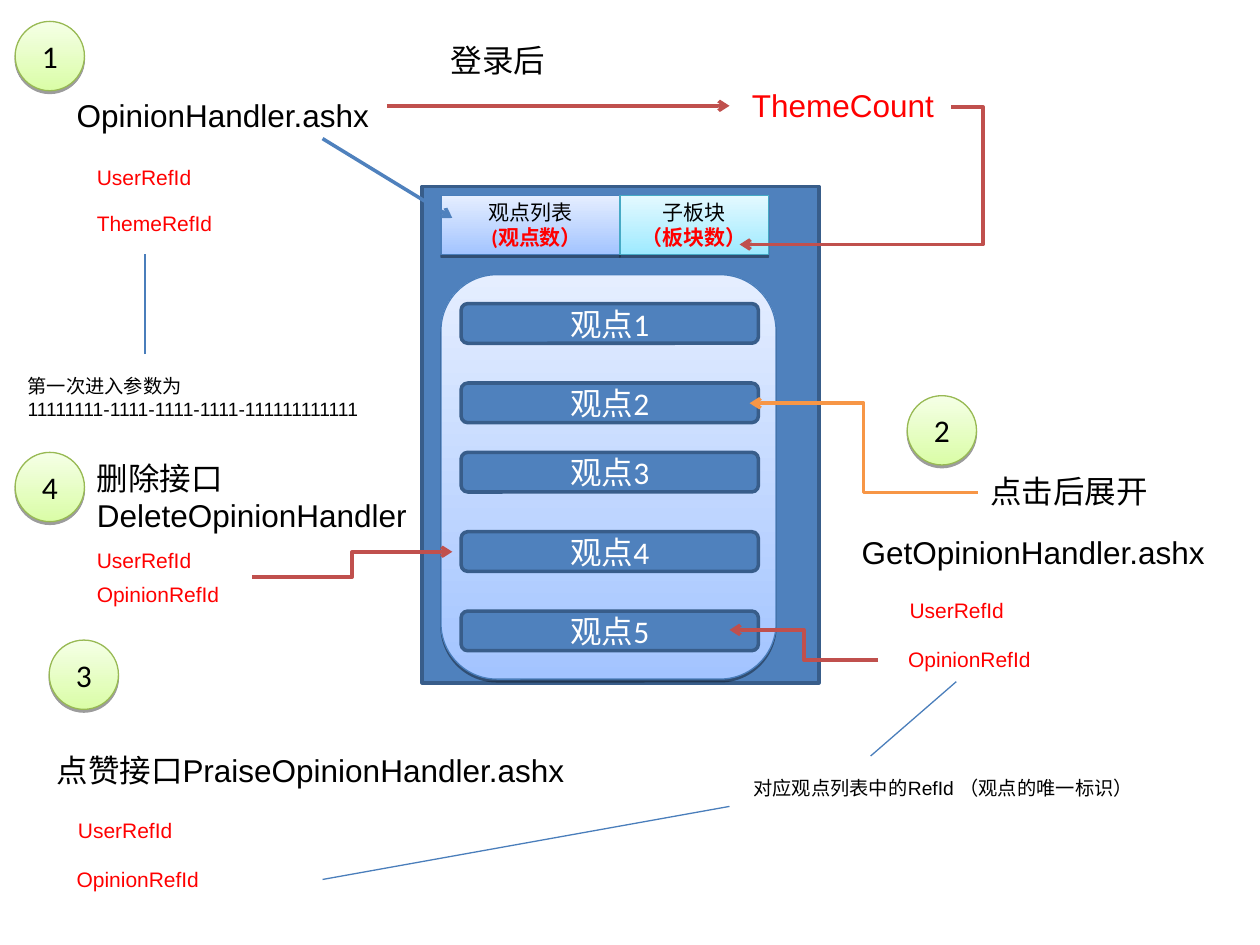
"""Build the slide showing how the opinion handlers feed the opinion list."""
from pptx import Presentation, util as u
from pptx.dml.color import RGBColor
from pptx.enum import shapes, text
from pptx.oxml import parse_xml
from pptx.oxml.ns import nsdecls, qn

rgb = RGBColor.from_string
prs = Presentation()
prs.slide_width, prs.slide_height = u.Inches(10), u.Inches(7.5)
COL, ROW = prs.slide_width / 100, prs.slide_height / 75
s = prs.slides.add_slide(prs.slide_layouts[6])

RECT = shapes.MSO_SHAPE.RECTANGLE
ROUND = shapes.MSO_SHAPE.ROUNDED_RECTANGLE
OVAL = shapes.MSO_SHAPE.OVAL
BLUE, NAVY, THIN, RED, BLACK = "4F81BD", "385D8A", "4A7EBB", "FF0000", "000000"
BRICK, ORANGE = "C0504D", "F79646"
PALE, AQUA, LIME = ("A3C4FF", "E5EEFF"), ("9EEAFF", "E4F9FF"), ("DAFDA7", "F5FFE6")
SHADOW = (f'<a:outerShdw {nsdecls("a")} blurRad="0" dist="20320" dir="5400000" rotWithShape="0">'
          '<a:srgbClr val="000000"><a:alpha val="38000"/></a:srgbClr></a:outerShdw>')


def add_box(kind, x, y, w, h, fill, line):
    sp = s.shapes.add_shape(kind, int(x * COL), int(y * ROW), int(w * COL), int(h * ROW))
    sp.shadow.inherit = False
    sp.line.color.rgb = rgb(line)
    if isinstance(fill, tuple):
        sp.fill.gradient()
        sp.fill.gradient_angle = 90
        for stop, color in zip(sp.fill.gradient_stops, fill):
            stop.color.rgb = rgb(color)
        sp.line.width = u.Pt(0.75)
        sp._element.spPr.find(qn("a:effectLst")).append(parse_xml(SHADOW))
    else:
        sp.fill.solid()
        sp.fill.fore_color.rgb = rgb(fill)
        sp.line.width = u.Pt(2)
    sp.text_frame.vertical_anchor = text.MSO_ANCHOR.MIDDLE
    return sp


def write(sp, words, size, color, font="Arial", align=text.PP_ALIGN.LEFT):
    tf = sp.text_frame
    tf.text = words
    for p in tf.paragraphs:
        p.alignment = align
        for r in p.runs:
            r.font.size, r.font.name = u.Pt(size), font
            r.font.color.rgb = rgb(color)
    return tf


add_box(RECT, 33.5, 14.8, 31.5, 39.4, BLUE, NAVY)
add_box(ROUND, 35, 21.8, 26.6, 32.1, PALE, THIN)

for x, w, fill, line, words, indent in [
    (35, 14.2, PALE, THIN, "观点列表\n(观点数）", 1),
    (49.2, 11.8, AQUA, "46AAC5", "子板块\n（板块数）", 0),
]:
    sp = add_box(RECT, x, 15.5, w, 4.7, fill, line)
    tf = write(sp, words, 12, BLACK, "Calibri", text.PP_ALIGN.CENTER)
    p = tf.paragraphs[1]
    p._p.get_or_add_pPr().set("marL", str(int(indent * COL)))
    p.runs[0].font.bold = True
    p.runs[0].font.color.rgb = rgb(RED)

for n, y in enumerate([24.1, 30.4, 35.9, 42.2, 48.5], 1):
    sp = add_box(ROUND, 36.6, y, 23.6, 3.15, BLUE, NAVY)
    write(sp, f"观点{n}", 18, "FFFFFF", "Calibri", text.PP_ALIGN.CENTER)

for n, (x, y) in enumerate([(1.2, 1.7), (72, 31.4), (3.9, 50.8), (1.2, 35.9)], 1):
    sp = add_box(OVAL, x, y, 5.5, 5.5, LIME, "98B954")
    write(sp, str(n), 18, BLACK, "Calibri", text.PP_ALIGN.CENTER)

for x, y, w, h, size, color, words in [
    (34.8, 2.8, 9.6, 4, 18, BLACK, "登录后"),
    (58.7, 6.3, 17, 4, 18, RED, "ThemeCount"),
    (5.1, 7.1, 25.5, 4, 18, BLACK, "OpinionHandler.ashx"),
    (6.7, 12.6, 9.8, 3, 12, RED, "UserRefId"),
    (6.7, 16.2, 11.6, 3, 12, RED, "ThemeRefId"),
    (1.2, 29.2, 36.2, 4.7, 11, BLACK, "第一次进入参数为\n11111111-1111-1111-1111-111111111111"),
    (77.6, 37, 14.7, 4, 18, BLACK, "点击后展开"),
    (67.4, 41.8, 29.6, 4, 18, BLACK, "GetOpinionHandler.ashx"),
    (71.2, 46.9, 9.8, 3, 12, RED, "UserRefId"),
    (71.1, 50.8, 12, 3, 12, RED, "OpinionRefId"),
    (58.8, 61.1, 36.2, 2.9, 11, BLACK, "对应观点列表中的RefId （观点的唯一标识）"),
    (3.5, 59.1, 43.2, 4, 18, BLACK, "点赞接口PraiseOpinionHandler.ashx"),
    (5.2, 64.4, 9.8, 3, 12, RED, "UserRefId"),
    (5.1, 68.3, 12, 3, 12, RED, "OpinionRefId"),
    (6.7, 35.9, 26.8, 7, 18, BLACK, "删除接口\nDeleteOpinionHandler"),
    (6.7, 43, 9.8, 3, 12, RED, "UserRefId"),
    (6.7, 45.7, 12, 3, 12, RED, "OpinionRefId"),
]:
    sp = s.shapes.add_textbox(int(x * COL), int(y * ROW), int(w * COL), int(h * ROW))
    tf = write(sp, words, size, color)
    tf.word_wrap = size == 11
    tf.auto_size = text.MSO_AUTO_SIZE.SHAPE_TO_FIT_TEXT

for x1, y1, x2, y2, color, arrow, bend in [
    (25.6, 11, 35.9, 17.3, BLUE, True, None),
    (11.5, 28.1, 11.5, 20.2, THIN, False, None),
    (77.6, 39.1, 59.5, 32, ORANGE, True, 0.5),
    (69.7, 52.4, 57.9, 50, BRICK, True, 0.5),
    (69.1, 60, 75.9, 54.1, THIN, False, None),
    (25.6, 69.8, 57.9, 64, THIN, False, None),
    (75.5, 8.5, 58.7, 19.4, BRICK, True, -0.15),
    (30.7, 8.4, 57.9, 8.4, BRICK, True, None),
    (20, 45.8, 35.9, 43.8, BRICK, True, 0.5),
]:
    kind = shapes.MSO_CONNECTOR.STRAIGHT if bend is None else shapes.MSO_CONNECTOR.ELBOW
    c = s.shapes.add_connector(kind, int(x1 * COL), int(y1 * ROW), int(x2 * COL), int(y2 * ROW))
    c.line.color.rgb = rgb(color)
    c.line.width = u.Pt(2 if arrow else 0.75)
    spPr = c._element.spPr
    spPr.append(parse_xml(f'<a:effectLst {nsdecls("a")}/>'))
    if arrow:
        c.line._get_or_add_ln().append(parse_xml(f'<a:tailEnd {nsdecls("a")} type="arrow"/>'))
    if bend is not None:
        guide = f'<a:gd {nsdecls("a")} name="adj1" fmla="val {round(bend * 100000)}"/>'
        spPr.find(qn("a:prstGeom")).find(qn("a:avLst")).append(parse_xml(guide))

prs.save("out.pptx")
